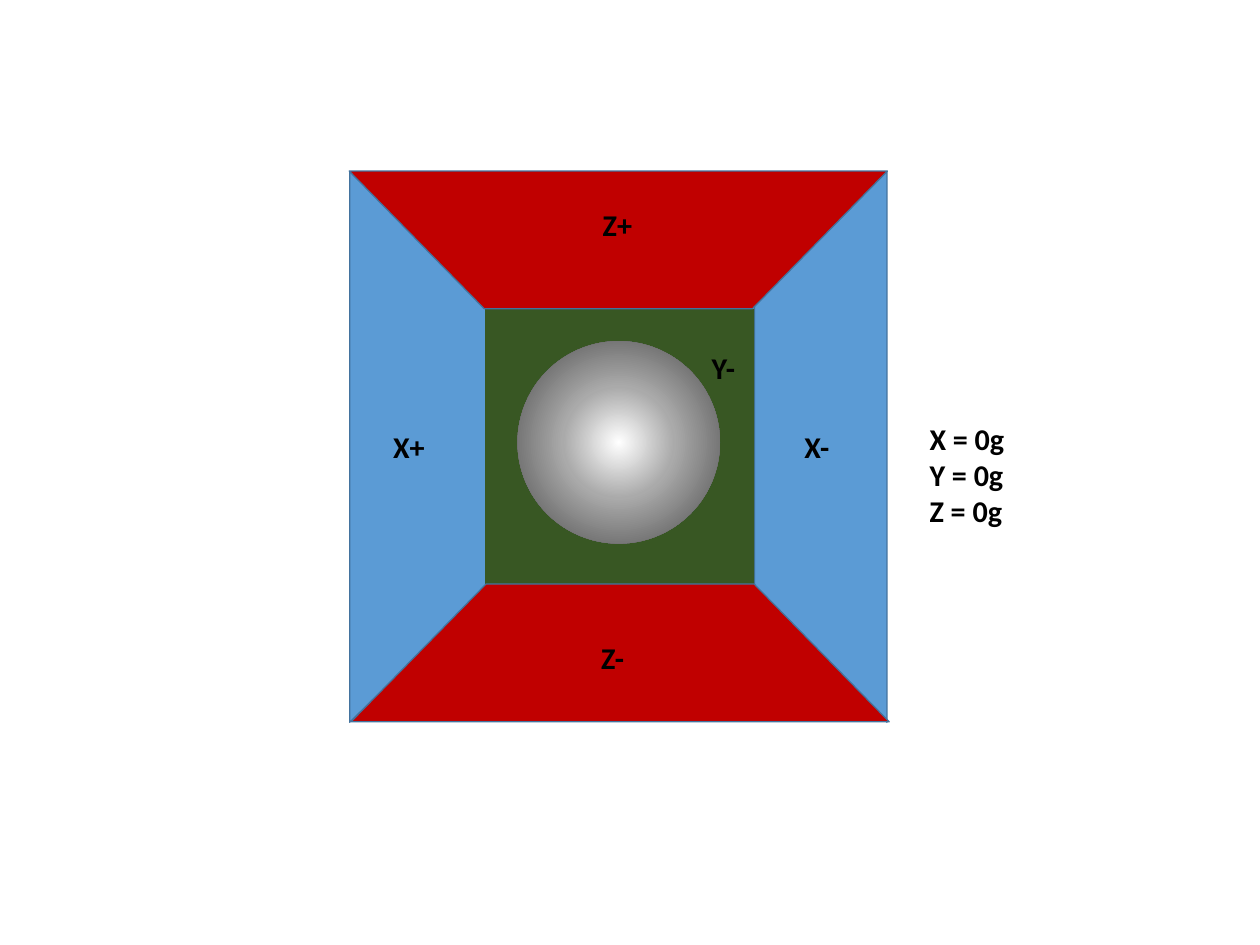
from dataclasses import dataclass

from lxml.etree import SubElement
from pptx import Presentation
from pptx.dml.color import RGBColor
from pptx.enum.shapes import MSO_SHAPE as Preset
from pptx.enum.text import MSO_AUTO_SIZE as AutoSize
from pptx.oxml.ns import qn
from pptx.shapes.autoshape import Shape
from pptx.slide import Slide
from pptx.util import Pt


@dataclass(frozen=True)
class Theme:
    font: str = "Calibri"
    label_size: float = 24.1
    text: str = "000000"
    x_wall: str = "5B9BD5"
    y_wall: str = "385723"
    z_wall: str = "C00000"
    outline: str = "43739E"
    outline_width: float = 1
    ball_stops: tuple[tuple[int, str], ...] = ((0, "FFFFFF"), (39, "AAAAAA"), (83, "636363"))


THEME = Theme()


@dataclass(frozen=True)
class Frame:
    left: float
    top: float
    width: float
    height: float

    def lengths(self) -> tuple[Pt, Pt, Pt, Pt]:
        return Pt(self.left), Pt(self.top), Pt(self.width), Pt(self.height)


@dataclass(frozen=True)
class Wall:
    """A trapezoid side of the box; the frame is given before rotation."""
    frame: Frame
    color: str
    rotation: int
    slope: float = 0.98


@dataclass(frozen=True)
class Label:
    frame: Frame
    lines: tuple[str, ...]


WALLS = (
    Wall(Frame(436.32, 304.56, 440.64, 105.84), THEME.x_wall, 270, 1.008),
    Wall(Frame(114.48, 302.4, 440.64, 110.16), THEME.x_wall, 90),
    Wall(Frame(279.36, 136.8, 430.56, 110.16), THEME.z_wall, 180),
    Wall(Frame(280.8, 467.28, 430.56, 110.16), THEME.z_wall, 0),
)
BACK_WALL = Frame(388.08, 246.96, 215.28, 220.32)
BALL = Frame(414, 272.88, 162, 162)
LABELS = (
    Label(Frame(475, 161.5, 43, 36.72), ("Z+",)),
    Label(Frame(307.44, 339.12, 44.64, 36.72), ("X+",)),
    Label(Frame(636.48, 339.12, 38.88, 36.72), ("X-",)),
    Label(Frame(562.32, 275.76, 37.44, 36.72), ("Y-",)),
    Label(Frame(473.76, 508.32, 37.44, 36.72), ("Z-",)),
    Label(Frame(736.56, 332.64, 86.4, 95.04), ("X = 0g", "Y = 0g", "Z = 0g")),
)


def add_plain_shape(page: Slide, preset: Preset, frame: Frame, color: str) -> Shape:
    """Add a filled shape without outline or shadow."""
    shape = page.shapes.add_shape(preset, *frame.lengths())
    shape.shadow.inherit = False
    shape.fill.solid()
    shape.fill.fore_color.rgb = RGBColor.from_string(color)
    shape.line.fill.background()
    return shape


def add_wall(page: Slide, wall: Wall) -> None:
    shape = add_plain_shape(page, Preset.TRAPEZOID, wall.frame, wall.color)
    shape.adjustments[0] = wall.slope
    shape.rotation = wall.rotation
    shape.line.color.rgb = RGBColor.from_string(THEME.outline)
    shape.line.width = Pt(THEME.outline_width)


def add_ball(page: Slide, frame: Frame) -> None:
    """Add a circle shaded from its centre outwards."""
    ball = add_plain_shape(page, Preset.OVAL, frame, THEME.ball_stops[0][1])
    ball.fill.gradient()
    gradient = ball._element.spPr.find(qn("a:gradFill"))
    for child in list(gradient):
        gradient.remove(child)
    stops = SubElement(gradient, qn("a:gsLst"))
    for percent, color in THEME.ball_stops:
        stop = SubElement(stops, qn("a:gs"), pos=str(percent * 1000))
        SubElement(stop, qn("a:srgbClr"), val=color)
    shade = SubElement(gradient, qn("a:path"), path="circle")
    centre = dict.fromkeys("ltrb", "50000")
    SubElement(shade, qn("a:fillToRect"), centre)


def add_label(page: Slide, label: Label) -> None:
    text = page.shapes.add_textbox(*label.frame.lengths()).text_frame
    text.word_wrap = False
    text.auto_size = AutoSize.SHAPE_TO_FIT_TEXT
    text.text = "\n".join(label.lines)
    for para in text.paragraphs:
        para.font.name = THEME.font
        para.font.size = Pt(THEME.label_size)
        para.font.bold = True
        para.font.color.rgb = RGBColor.from_string(THEME.text)


def main() -> None:
    deck = Presentation()
    deck.slide_width, deck.slide_height = Pt(1008), Pt(756)
    page = deck.slides.add_slide(deck.slide_layouts[6])
    x_walls, z_walls = WALLS[:2], WALLS[2:]
    for wall in x_walls:
        add_wall(page, wall)
    add_plain_shape(page, Preset.RECTANGLE, BACK_WALL, THEME.y_wall)
    for wall in z_walls:
        add_wall(page, wall)
    add_ball(page, BALL)
    for label in LABELS:
        add_label(page, label)
    deck.save("out.pptx")


if __name__ == "__main__":
    main()
